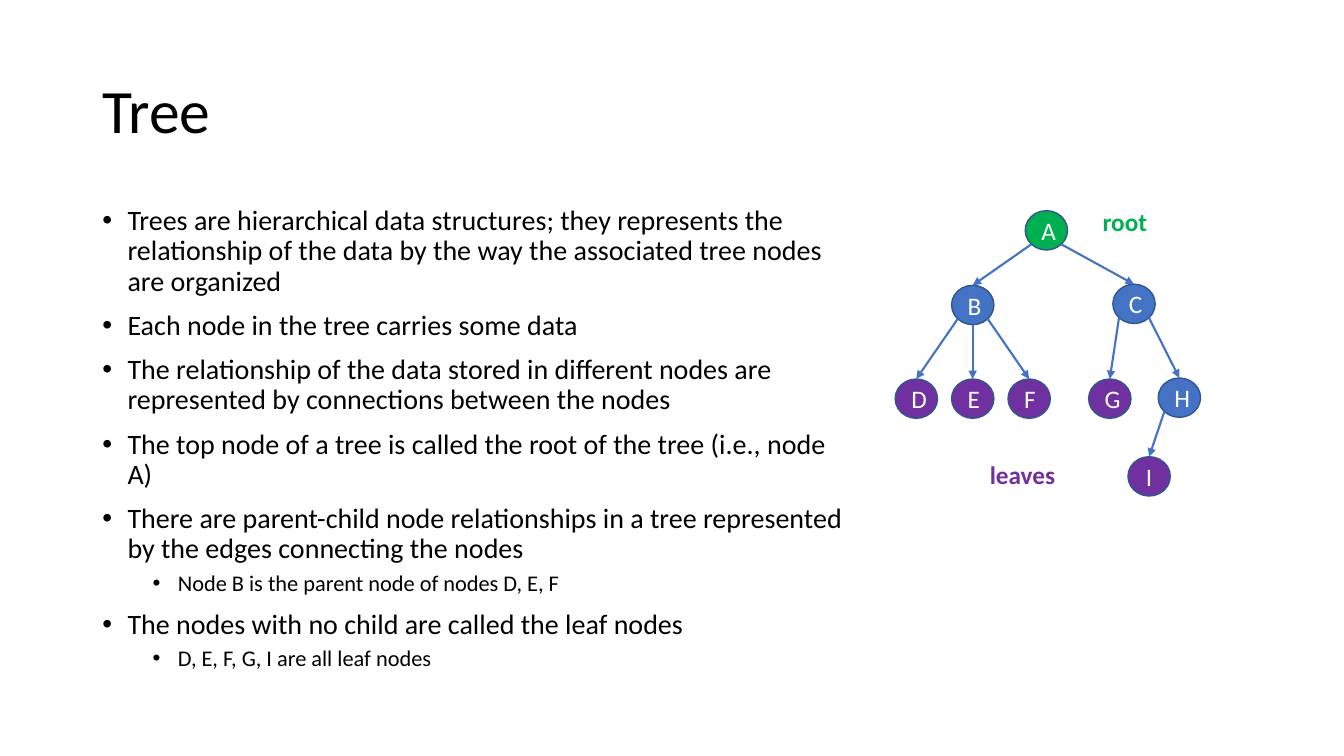
from lxml import etree
from pptx import Presentation
from pptx.dml.color import RGBColor
from pptx.enum.shapes import MSO_CONNECTOR, MSO_SHAPE
from pptx.enum.text import MSO_ANCHOR, PP_ALIGN
from pptx.oxml.ns import qn
from pptx.util import Pt

OVAL, STRAIGHT = MSO_SHAPE.OVAL, MSO_CONNECTOR.STRAIGHT
TOP, MIDDLE = MSO_ANCHOR.TOP, MSO_ANCHOR.MIDDLE
LEFT, CENTER = PP_ALIGN.LEFT, PP_ALIGN.CENTER

BLACK, WHITE, OUTLINE = "000000", "FFFFFF", "325491"
ROOT, INNER, LEAF = "00B050", "4472C4", "7030A0"
NODE_W, NODE_H = 30.24, 28.08
DIAGONAL = 0.354  # offset of an oval's 45-degree point, as a share of its size

BULLETS = [
    (0, "Trees are hierarchical data structures; they represents the relationship "
        "of the data by the way the associated tree nodes are organized"),
    (0, "Each node in the tree carries some data"),
    (0, "The relationship of the data stored in different nodes are represented "
        "by connections between the nodes"),
    (0, "The top node of a tree is called the root of the tree (i.e., node A)"),
    (0, "There are parent-child node relationships in a tree represented by the "
        "edges connecting the nodes"),
    (1, "Node B is the parent node of nodes D, E, F"),
    (0, "The nodes with no child are called the leaf nodes"),
    (1, "D, E, F, G, I are all leaf nodes"),
]

# Node: left and top within the tree's box, fill
NODES = {
    "A": (92.9, 6.5, ROOT),
    "B": (40.3, 59.8, INNER), "C": (155.5, 59, INNER),
    "D": (0, 126.7, LEAF), "E": (40.3, 126.7, LEAF), "F": (80.6, 126.7, LEAF),
    "G": (138.2, 126.7, LEAF), "H": (187.9, 126, INNER),
    "I": (166.3, 182.2, LEAF),
}
# Parent, child, side of the parent the edge leaves from (-1 left, 0 bottom, 1 right)
EDGES = [("A", "B", -1), ("A", "C", 1), ("B", "D", -1), ("B", "E", 0),
         ("B", "F", 1), ("C", "G", -1), ("C", "H", 1), ("H", "I", -1)]
LABELS = [("root", 141.1, 0, ROOT), ("leaves", 60.5, 180.7, LEAF)]


def rgb(value):
    return RGBColor.from_string(value)


def write(p, text, size=18, color=BLACK, bold=False, align=LEFT):
    p.alignment = align
    r = p.add_run()
    r.text = text
    r.font.name, r.font.size, r.font.bold = "Calibri", Pt(size), bold
    r.font.color.rgb = rgb(color)


def text_box(s, x, y, w, h, anchor=TOP):
    tf = s.shapes.add_textbox(Pt(x), Pt(y), Pt(w), Pt(h)).text_frame
    tf.word_wrap = True
    tf.vertical_anchor = anchor
    return tf


def add_title(s, x, y, w, h):
    p = text_box(s, x, y, w, h, MIDDLE).paragraphs[0]
    p.line_spacing = 0.9
    write(p, "Tree", size=44)


def add_bullets(s, x, y, w, h):
    tf = text_box(s, x, y, w, h)
    for i, (level, text) in enumerate(BULLETS):
        p = tf.add_paragraph() if i else tf.paragraphs[0]
        p.level = level
        p.line_spacing = 0.9
        p.space_before = Pt(5 if level else 10)
        write(p, text, size=16 if level else 20)
        pPr = p._p.get_or_add_pPr()
        pPr.set("marL", str(Pt(18 + 36 * level)))
        pPr.set("indent", str(Pt(-18)))
        etree.SubElement(pPr, qn("a:buFont")).set("typeface", "Arial")
        etree.SubElement(pPr, qn("a:buChar")).set("char", "•")


def add_node(s, x, y, name, fill):
    sp = s.shapes.add_shape(OVAL, Pt(x), Pt(y), Pt(NODE_W), Pt(NODE_H))
    sp.shadow.inherit = False
    sp.fill.solid()
    sp.fill.fore_color.rgb = rgb(fill)
    sp.line.color.rgb = rgb(OUTLINE)
    sp.line.width = Pt(1)
    sp.text_frame.vertical_anchor = MIDDLE
    write(sp.text_frame.paragraphs[0], name, color=WHITE, align=CENTER)


def add_arrow(s, x1, y1, x2, y2):
    cxn = s.shapes.add_connector(STRAIGHT, Pt(x1), Pt(y1), Pt(x2), Pt(y2))
    cxn.line.color.rgb = rgb(INNER)
    cxn.line.width = Pt(1.5)
    etree.SubElement(cxn.line._get_or_add_ln(), qn("a:tailEnd")).set("type", "triangle")
    etree.SubElement(cxn._element.spPr, qn("a:effectLst"))


def add_tree(s, x, y):
    for name, (dx, dy, fill) in NODES.items():
        add_node(s, x + dx, y + dy, name, fill)
    # Edges run from the parent's lower rim to the top of the child
    for parent, child, side in EDGES:
        px, py, _ = NODES[parent]
        cx, cy, _ = NODES[child]
        drop = 0.5 + DIAGONAL if side else 1
        add_arrow(s, x + px + NODE_W * (0.5 + side * DIAGONAL), y + py + NODE_H * drop,
                  x + cx + NODE_W / 2, y + cy)
    for text, dx, dy, color in LABELS:
        tf = text_box(s, x + dx, y + dy, 75.6, 28.8)
        write(tf.paragraphs[0], text, color=color, bold=True)


prs = Presentation()
prs.slide_width, prs.slide_height = Pt(960), Pt(540)
s = prs.slides.add_slide(prs.slide_layouts[6])
add_title(s, 66, 28.75, 828, 104.4)
add_bullets(s, 66, 144, 548.6, 342.7)
add_tree(s, 639.4, 144)
prs.save("out.pptx")
